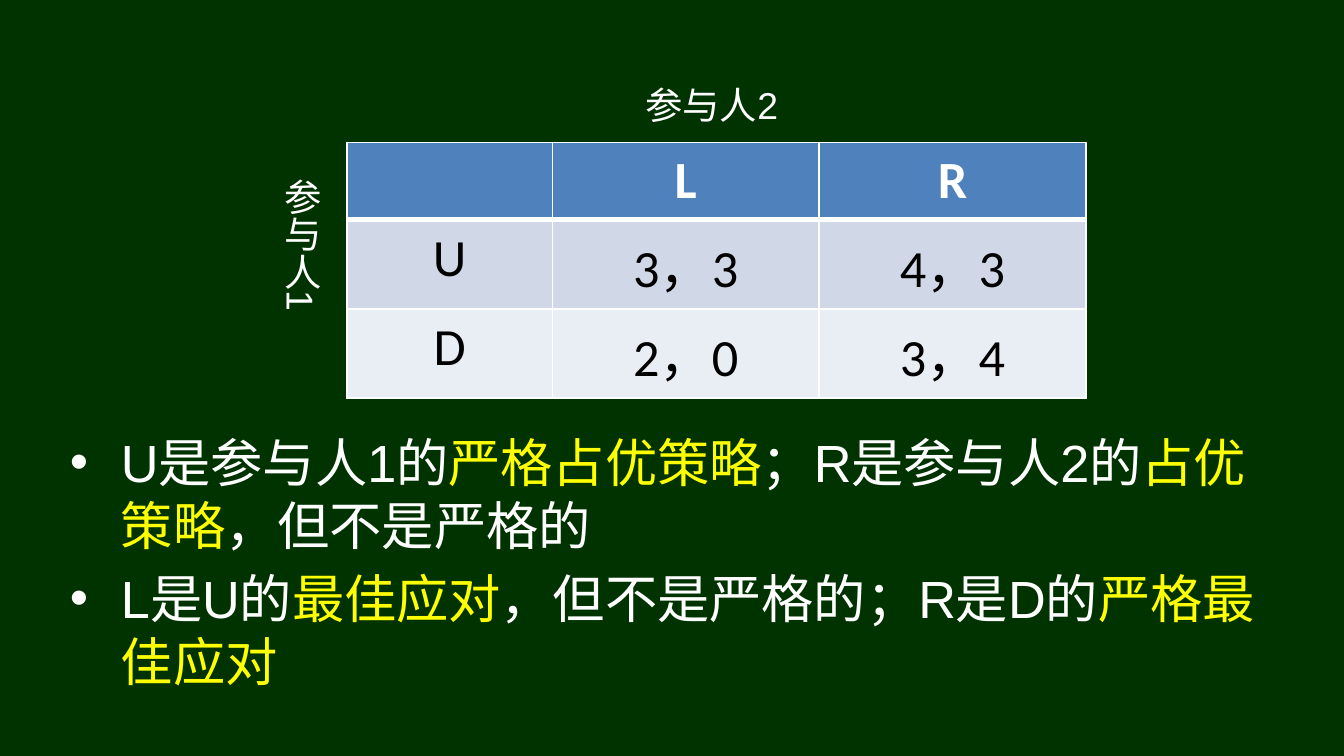
from lxml.etree import SubElement
from pptx import Presentation
from pptx.dml.color import RGBColor
from pptx.enum.text import MSO_AUTO_SIZE, PP_ALIGN
from pptx.oxml import parse_xml
from pptx.oxml.ns import nsdecls, qn
from pptx.util import Inches, Pt

COLORS = {
    "background": "003300",
    "text": "FFFFFF",
    "accent": "FFFF00",
    "header": "4F81BD",
    "band_dark": "D0D8E8",
    "band_light": "E9EDF4",
    "cell_text": "000000",
}


class GameSlide:
    """Slide and style; lengths are percentages of the slide's width and height."""

    text_font, table_font = "Arial", "Calibri"
    label_size, main_size = 20, 28

    def __init__(self, prs):
        self.width, self.height = prs.slide_width, prs.slide_height
        self.s = prs.slides.add_slide(prs.slide_layouts[1])
        title = self.s.shapes.title
        title.element.getparent().remove(title.element)
        fill = self.s.background.fill
        fill.solid()
        fill.fore_color.rgb = self.color("background")

    def color(self, name):
        return RGBColor.from_string(COLORS[name])

    def box(self, x, y, w, h):
        return (int(self.width * x / 100), int(self.height * y / 100),
                int(self.width * w / 100), int(self.height * h / 100))

    def run(self, p, text, color="text", size=main_size, font=text_font, bold=False):
        r = p.add_run()
        r.text = text
        r.font.name, r.font.size, r.font.bold = font, Pt(size), bold
        r.font.color.rgb = self.color(color)

    def label(self, text, area, align=PP_ALIGN.LEFT, vertical=False):
        tf = self.s.shapes.add_textbox(*self.box(*area)).text_frame
        tf.word_wrap = True
        tf.auto_size = MSO_AUTO_SIZE.SHAPE_TO_FIT_TEXT
        if vertical:
            tf._txBody.bodyPr.set("vert", "eaVert")
        p = tf.paragraphs[0]
        p.alignment = align
        self.run(p, text, size=self.label_size)

    def bullets(self, items, area):
        """Fill the body placeholder; each item is a list of (text, color) runs."""
        sp = self.s.placeholders[1]
        sp.left, sp.top, sp.width, sp.height = self.box(*area)
        tf = sp.text_frame
        tf.auto_size = MSO_AUTO_SIZE.NONE
        for i, parts in enumerate(items):
            p = tf.add_paragraph() if i else tf.paragraphs[0]
            p.space_before = Pt(0.2 * self.main_size if i else 0)
            pPr = p._p.get_or_add_pPr()
            pPr.set("marL", str(Inches(0.38)))
            pPr.set("indent", str(-Inches(0.38)))
            SubElement(pPr, qn("a:buFont"), typeface=self.text_font)
            SubElement(pPr, qn("a:buChar"), char="•")
            for text, color in parts:
                self.run(p, text, color)

    def borders(self, cell, top, bottom):
        tcPr = cell._tc.get_or_add_tcPr()
        for i, (side, points) in enumerate(zip("LRTB", (1, 1, top, bottom))):
            tcPr.insert(i, parse_xml(
                f'<a:ln{side} {nsdecls("a")} w="{Pt(points)}"><a:solidFill>'
                f'<a:srgbClr val="{COLORS["text"]}"/></a:solidFill></a:ln{side}>'))

    def payoff_table(self, rows, corner, col_widths, row_height):
        area = (*corner, sum(col_widths), row_height * len(rows))
        table = self.s.shapes.add_table(
            len(rows), len(col_widths), *self.box(*area)).table
        for column, share in zip(table.columns, col_widths):
            column.width = int(self.width * share / 100)
        fills = ("header", "band_dark", "band_light")
        for i, (values, fill) in enumerate(zip(rows, fills)):
            header = i == 0
            for j, value in enumerate(values):
                cell = table.cell(i, j)
                cell.fill.solid()
                cell.fill.fore_color.rgb = self.color(fill)
                self.borders(cell, top=3 if i == 1 else 1, bottom=3 if header else 1)
                p = cell.text_frame.paragraphs[0]
                p.alignment = PP_ALIGN.CENTER
                if value:
                    self.run(p, value, "text" if header else "cell_text",
                             font=self.table_font, bold=header)


def main():
    prs = Presentation()
    prs.slide_width, prs.slide_height = Inches(10), Inches(10 * 9 / 16)
    slide = GameSlide(prs)
    slide.payoff_table(
        [["", "L", "R"], ["U", "3，3", "4，3"], ["D", "2，0", "3，4"]],
        corner=(25.8, 18.85), col_widths=(15.3, 19.85, 19.85), row_height=10.1)
    slide.bullets([
        [("U是参与人1的", "text"), ("严格占优策略", "accent"),
         ("；R是参与人2的", "text"), ("占优策略", "accent"),
         ("，但不是严格的", "text")],
        [("L是U的", "text"), ("最佳应对", "accent"),
         ("，但不是严格的；R是D的", "text"), ("严格最佳应对", "accent")],
    ], (4.2, 56, 91.7, 38.6))
    slide.label("参与人1", (19.2, 21.9, 5.4, 23.6), vertical=True)
    slide.label("参与人2", (39.2, 9.95, 27.5, 7.8), PP_ALIGN.CENTER)
    prs.save("out.pptx")


if __name__ == "__main__":
    main()
